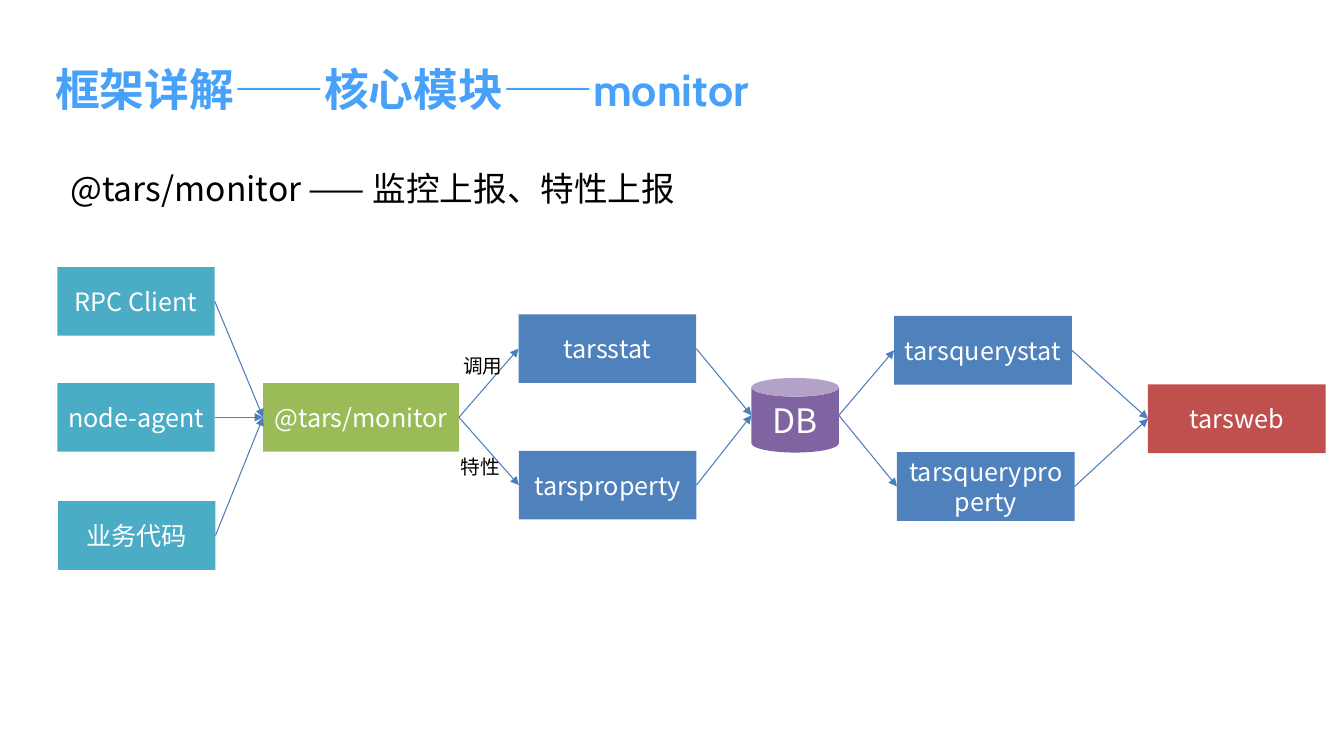
from lxml.etree import SubElement
from pptx import Presentation
from pptx.dml.color import RGBColor
from pptx.enum.shapes import MSO_CONNECTOR, MSO_SHAPE
from pptx.enum.text import MSO_ANCHOR, PP_ALIGN
from pptx.oxml.ns import qn
from pptx.util import Pt

CJK, LATIN = "Noto Sans CJK SC", "Cabin"
TITLE_BLUE, BLACK, WHITE, ARROW = "48A1F9", "000000", "FFFFFF", "4B7EBC"
TEAL, GREEN, BLUE, RED, PURPLE = "4BACC6", "9BBB59", "4F81BD", "C0504D", "8064A2"

TITLE = [("框架详解", CJK), ("——核心模块——monitor", LATIN)]
SUBTITLE = "@tars/monitor —— 监控上报、特性上报"
BOX_HEIGHT = 49
# name: text, left, top, width, fill
BOXES = {
    "client": ("RPC Client", 41, 190.8, 112.5, TEAL),
    "agent": ("node-agent", 41, 273.6, 112.5, TEAL),
    "code": ("业务代码", 41.5, 358, 112.5, TEAL),
    "monitor": ("@tars/monitor", 188, 273.6, 140, GREEN),
    "stat": ("tarsstat", 370.6, 224.5, 127, BLUE),
    "property": ("tarsproperty", 370.8, 322, 127, BLUE),
    "querystat": ("tarsquerystat", 639, 225.7, 127, BLUE),
    "queryproperty": ("tarsqueryproperty", 641, 323, 127, BLUE),
    "web": ("tarsweb", 820.4, 274.6, 127, RED),
}
DB = ("DB", 537, 270, 62.5, 53.3)
LINKS = [
    ("client", "monitor"), ("agent", "monitor"), ("code", "monitor"),
    ("monitor", "stat"), ("monitor", "property"),
    ("stat", "db"), ("property", "db"),
    ("db", "querystat"), ("db", "queryproperty"),
    ("querystat", "web"), ("queryproperty", "web"),
]
LABELS = [("调用", 324, 249), ("特性", 322, 321.6)]

prs = Presentation()
prs.slide_width, prs.slide_height = Pt(960.5), Pt(540)
slide = prs.slides.add_slide(prs.slide_layouts[6])
shapes = slide.shapes


def rgb(color):
    return RGBColor.from_string(color)


def add_run(p, text, size, color, font=CJK, bold=False):
    r = p.add_run()
    r.text = text
    r.font.size, r.font.bold, r.font.name = Pt(size), bold, font
    r.font.color.rgb = rgb(color)
    SubElement(r.font._element, qn("a:ea")).set("typeface", CJK)


def add_text(left, top, width, height, runs, anchor=MSO_ANCHOR.TOP, wrap=True):
    tf = shapes.add_textbox(Pt(left), Pt(top), Pt(width), Pt(height)).text_frame
    tf.word_wrap, tf.vertical_anchor = wrap, anchor
    for run in runs:
        add_run(tf.paragraphs[0], *run)


def add_node(kind, text, left, top, width, height, fill, size):
    sp = shapes.add_shape(kind, Pt(left), Pt(top), Pt(width), Pt(height))
    sp.shadow.inherit = False
    sp.fill.solid()
    sp.fill.fore_color.rgb = rgb(fill)
    sp.line.fill.background()
    tf = sp.text_frame
    tf.word_wrap, tf.vertical_anchor = True, MSO_ANCHOR.MIDDLE
    p = tf.paragraphs[0]
    p.alignment = PP_ALIGN.CENTER
    add_run(p, text, size, WHITE)
    return sp


def add_arrow(start, end):
    """Arrow from the right middle of start to the left middle of end."""
    line = shapes.add_connector(
        MSO_CONNECTOR.STRAIGHT,
        start.left + start.width, start.top + start.height // 2,
        end.left, end.top + end.height // 2)
    if start is not nodes["db"]:
        line.begin_connect(start, 3)
    if end is not nodes["db"]:
        line.end_connect(end, 1)
    line.line.color.rgb = rgb(ARROW)
    line.line.width = Pt(0.75)
    SubElement(line.line._get_or_add_ln(), qn("a:tailEnd")).set("type", "triangle")
    SubElement(line._element.spPr, qn("a:effectLst"))


add_text(32.4, 22.3, 895.7, 82,
         [(text, 32, TITLE_BLUE, font, True) for text, font in TITLE],
         MSO_ANCHOR.MIDDLE)
add_text(43.2, 116.6, 447, 36, [(SUBTITLE, 24, BLACK)])

nodes = {name: add_node(MSO_SHAPE.RECTANGLE, text, left, top, width, BOX_HEIGHT, fill, 18)
         for name, (text, left, top, width, fill) in BOXES.items()}
nodes["db"] = add_node(MSO_SHAPE.CAN, *DB, PURPLE, 24)
for start, end in LINKS:
    add_arrow(nodes[start], nodes[end])
for text, left, top in LABELS:
    add_text(left, top, 42.5, 24.5, [(text, 14, BLACK)], wrap=False)

prs.save("out.pptx")
